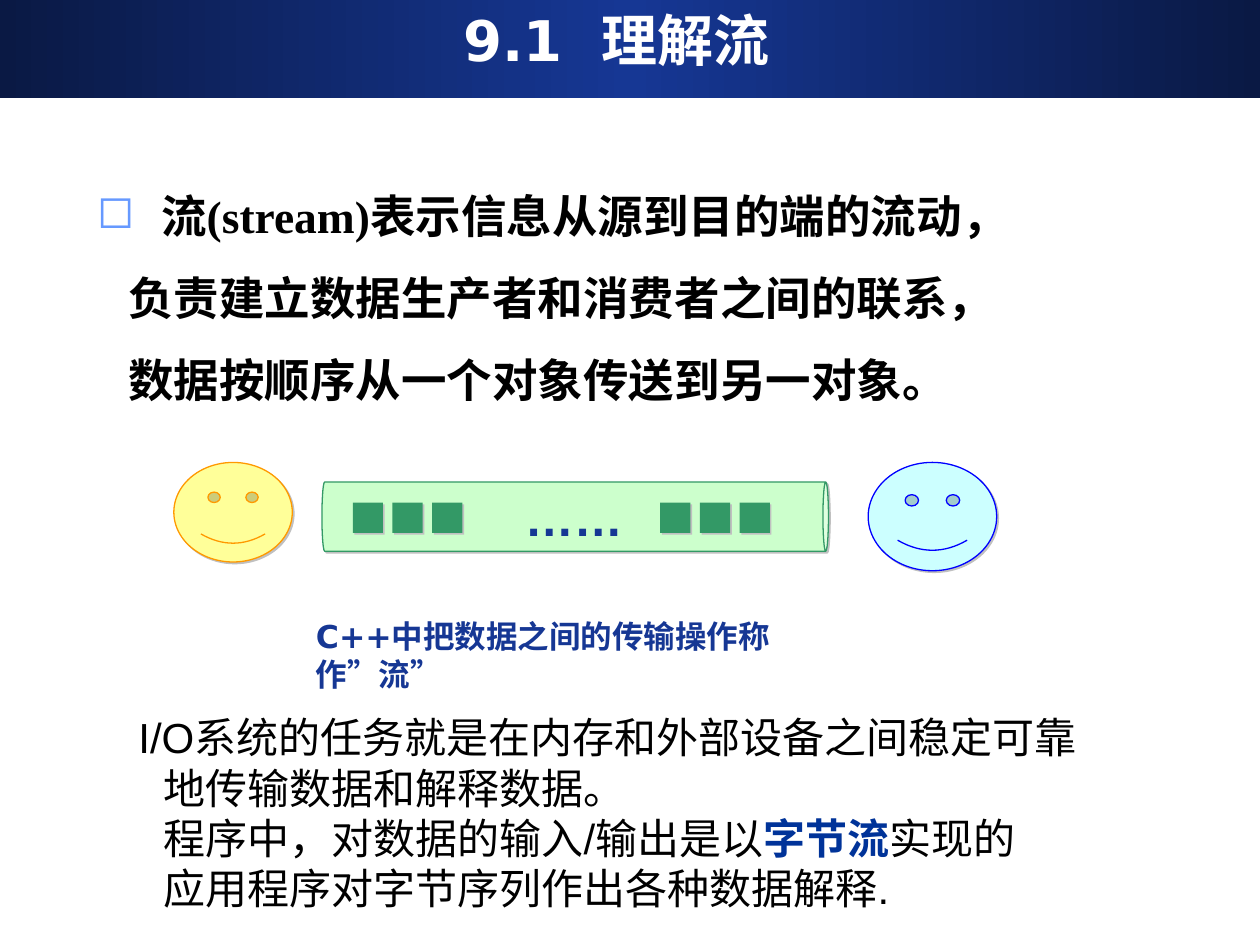
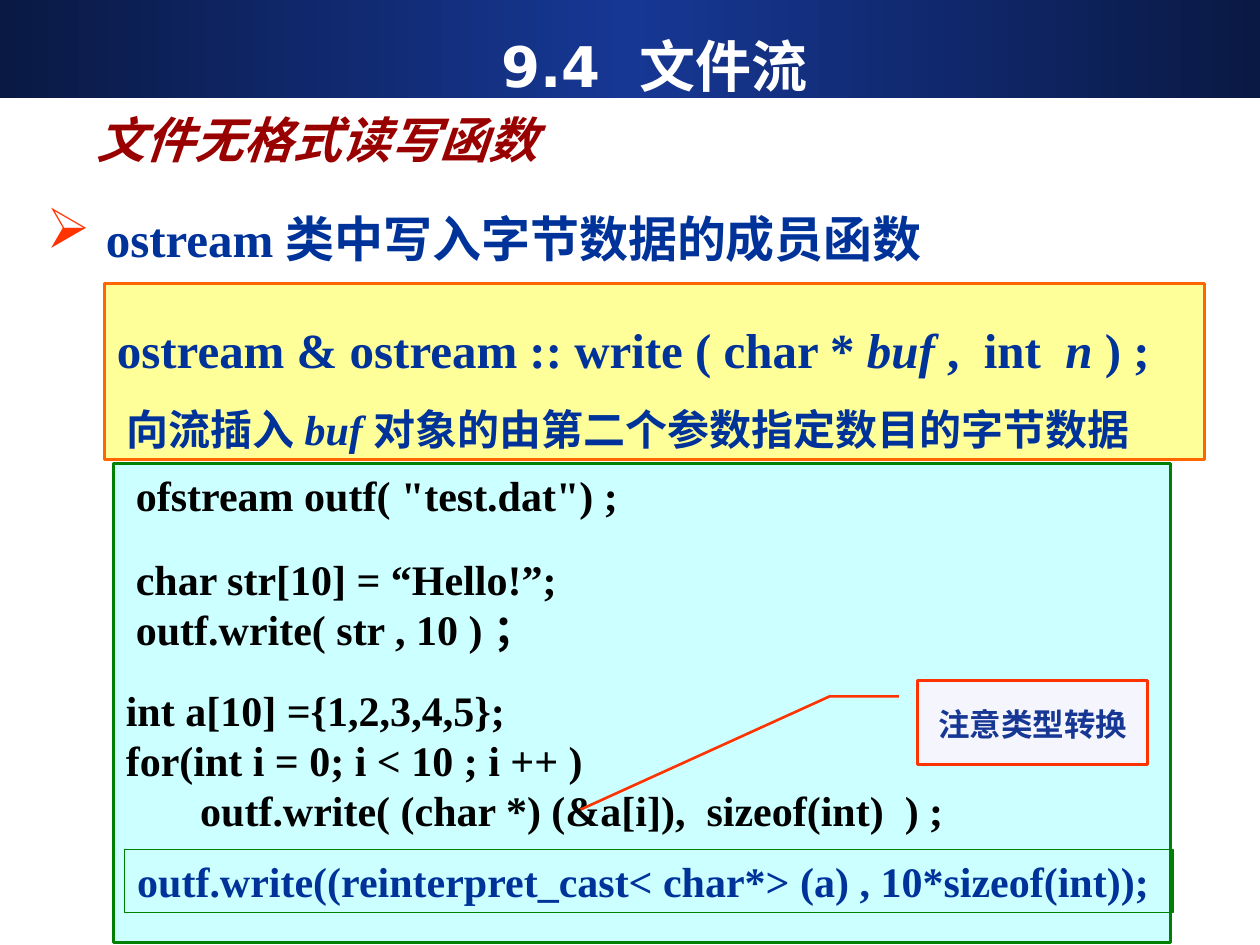
import copy
from dataclasses import dataclass

import lxml.etree
import pptx
import pptx.dml.color
import pptx.enum.shapes
import pptx.enum.text
import pptx.oxml.ns
import pptx.util

Inches, Pt = pptx.util.Inches, pptx.util.Pt
SHAPE = pptx.enum.shapes.MSO_SHAPE
ALIGN = pptx.enum.text.PP_ALIGN
ANCHOR = pptx.enum.text.MSO_ANCHOR
qn = pptx.oxml.ns.qn


@dataclass(frozen=True)
class Theme:
    """Colours, fonts and type sizes shared by the slides."""
    navy: str = "163794"
    midnight: str = "0A1944"
    blue: str = "003399"
    white: str = "FFFFFF"
    black: str = "000000"
    crimson: str = "990000"
    red: str = "FF3300"
    orange: str = "FF9900"
    deep_orange: str = "FF6600"
    yellow: str = "FFFF99"
    cyan: str = "CCFFFF"
    pure_blue: str = "0000FF"
    mint: str = "CCFFCC"
    sea: str = "339966"
    green: str = "008000"
    pale: str = "F5F6FD"
    sky: str = "6699FF"
    grey: str = "C0C0C0"
    sans: str = "Arial"
    display: str = "DejaVu Sans"
    serif: str = "Times New Roman"
    cjk: str = "Noto Sans CJK SC"
    title: int = 32
    heading: int = 28
    lead: int = 26
    body: int = 24
    note: int = 18
    thin: float = 0.74
    thick: float = 1.5


T = Theme()

# Content: a paragraph is (runs, options); a run is (text, options)
TITLES = [("9.1  理解流", (0.27, 0, 9.25, 0.62)),
          ("9.4  文件流", (0.57, 0.21, 9.25, 0.62))]

DEFINITION = [
    ([("流", {}), ("(stream)", {"font": T.serif}),
      ("表示信息从源到目的端的流动，", {})],
     {"left": 0.51, "first": -0.51, "bullet": ("◻", T.sky)}),
    ([("负责建立数据生产者和消费者之间的联系，", {})], {"left": 0.25}),
    ([("数据按顺序从一个对象传送到另一对象。", {})], {"left": 0.25}),
]
CAPTION = [([("C++中把数据之间的传输操作称作", {}), ("”", {"font": T.sans}),
             ("流", {}), ("”", {"font": T.sans})], {})]
TASK = [
    ([("I/O系统的任务就是在内存和外部设备之间稳定可靠", {})], {"left": 0.1}),
    ([("地传输数据和解释数据。", {})], {"left": 0.3}),
    ([("程序中，对数据的输入/输出是以", {}),
      ("字节流", {"color": T.blue, "bold": True}), ("实现的", {})], {"left": 0.3}),
    ([("应用程序对字节序列作出各种数据解释.", {})], {"left": 0.3}),
]
FACES = [((1.38, 3.67, 0.94, 0.79), T.yellow, T.orange),
         ((6.89, 3.67, 1.02, 0.86), T.cyan, T.pure_blue)]
PACKET_GROUPS = [2.8, 5.24]
PACKETS_PER_GROUP, PACKET_STEP, PACKET_SIZE, PACKET_TOP = 3, 0.315, 0.24, 3.99

SUBTITLE = [([("文件无格式读写函数", {})], {})]
MEMBER = [([(" ", {"size": T.title, "font": T.cjk}),
            ("ostream 类中写入字节数据的成员函数", {})],
           {"left": 0.37, "first": -0.37, "bullet": ("➢", T.red)})]
ITALIC, SMALL = {"italic": True}, {"size": T.body}
SIGNATURE = [
    ([("ostream & ostream :: write ( char * ", {}), ("buf ", ITALIC),
      (",  int  ", {}), ("n", ITALIC), (" ) ;", {})], {}),
    ([("向流插入 ", SMALL), ("buf ", {**SMALL, **ITALIC}),
      ("对象的由第二个参数指定数目的字节数据", SMALL)], {"left": 0.08}),
]
CODE = [
    ([('ofstream outf( "test.dat") ;', {})], {"left": 0.08}),
    ([("char str[10] = “Hello!”;", {})], {"left": 0.08, "before": 19}),
    ([("outf.write( str , 10 ) ；", {})], {"left": 0.08}),
    ([("int a[10] ={1,2,3,4,5};", {})], {"before": 17}),
    ([("for(int i = 0; i < 10 ; i ++ )", {})], {}),
    ([("outf.write( (char *) (&a[i]),  sizeof(int)  ) ;", {})], {"left": 0.59}),
]
CAST = [([("outf.write((reinterpret_cast< char*> (a) , 10*sizeof(int));", {})], {})]
WARNING = [([("注意类型转换", {})], {})]


def rgb(value):
    """Turn a hex string into a colour."""
    return pptx.dml.color.RGBColor.from_string(value)


def sub(parent, tag, **attrs):
    """Append a DrawingML child element."""
    el = lxml.etree.SubElement(parent, qn(tag))
    for key, value in attrs.items():
        el.set(key, str(value))
    return el


def add_shadow(props):
    """Give shape or run properties the small hard grey shadow."""
    for old in props.findall(qn("a:effectLst")):
        props.remove(old)
    shadow = sub(sub(props, "a:effectLst"), "a:outerShdw", blurRad=0,
                 dist=int(Pt(1.4)), dir=45 * 60000, algn="tl", rotWithShape=0)
    sub(shadow, "a:srgbClr", val=T.grey)


def add_bullet(p, char, color):
    """Put a coloured bullet on a paragraph."""
    pPr = p._p.get_or_add_pPr()
    sub(sub(pPr, "a:buClr"), "a:srgbClr", val=color)
    sub(pPr, "a:buChar", char=char)


def write(tf, paragraphs, size=T.body, font=T.sans, color=T.black, bold=False,
          italic=False, align=ALIGN.LEFT, anchor=ANCHOR.TOP, spacing=None,
          before=0, shadow=False, insets=(0.1, 0.05, 0.1, 0.05)):
    """Fill a text frame; run and paragraph options override the defaults."""
    tf.word_wrap = True
    tf.auto_size = pptx.enum.text.MSO_AUTO_SIZE.NONE
    tf.vertical_anchor = anchor
    (tf.margin_left, tf.margin_top,
     tf.margin_right, tf.margin_bottom) = map(Inches, insets)
    for i, (runs, opts) in enumerate(paragraphs):
        p = tf.add_paragraph() if i else tf.paragraphs[0]
        p.alignment = align
        p.space_before = Pt(opts.get("before", before))
        if spacing:
            p.line_spacing = spacing
        pPr = p._p.get_or_add_pPr()
        pPr.set("marL", str(int(Inches(opts.get("left", 0)))))
        pPr.set("indent", str(int(Inches(opts.get("first", 0)))))
        if "bullet" in opts:
            add_bullet(p, *opts["bullet"])
        for words, fmt in runs:
            r = p.add_run()
            r.text = words
            r.font.size = Pt(fmt.get("size", size))
            r.font.bold = fmt.get("bold", bold)
            r.font.italic = fmt.get("italic", italic)
            r.font.color.rgb = rgb(fmt.get("color", color))
            rPr = r._r.get_or_add_rPr()
            if shadow:
                add_shadow(rPr)
            r.font.name = fmt.get("font", font)
            sub(rPr, "a:ea", typeface=T.cjk)


def add_text(s, box, paragraphs, **fmt):
    """Add a text box."""
    sp = s.shapes.add_textbox(*map(Inches, box))
    write(sp.text_frame, paragraphs, **fmt)


def add_shape(s, kind, box, fill=None, line=None, width=T.thin, shadow=False,
              adjust=()):
    """Add a preset shape with plain fill and line."""
    sp = s.shapes.add_shape(kind, *map(Inches, box))
    sp.shadow.inherit = False
    if fill:
        sp.fill.solid()
        sp.fill.fore_color.rgb = rgb(fill)
    else:
        sp.fill.background()
    if line:
        sp.line.color.rgb = rgb(line)
        sp.line.width = Pt(width)
    else:
        sp.line.fill.background()
    if shadow:
        add_shadow(sp.element.spPr)
    for i, value in enumerate(adjust):
        sp.adjustments[i] = value
    return sp


def add_band(s, layout):
    """Build the gradient title band and place it on the shared layout."""
    band = add_shape(s, SHAPE.RECTANGLE, (0, 0, 10, 0.78))
    band.fill.gradient()
    band.fill.gradient_angle = 0
    stops = next(band.element.iter(qn("a:gsLst")))
    for old in list(stops):
        stops.remove(old)
    for percent, color in [(0, T.midnight), (50, T.navy), (100, T.midnight)]:
        sub(sub(stops, "a:gs", pos=percent * 1000), "a:srgbClr", val=color)
    layout.shapes.element.insert(2, copy.deepcopy(band.element))
    s.shapes.element.remove(band.element)


def add_slide(prs, layout, title, box):
    """Add a slide with its title over the band."""
    s = prs.slides.add_slide(layout)
    sp = s.shapes.title
    sp.left, sp.top, sp.width, sp.height = map(Inches, box)
    write(sp.text_frame, [([(title, {})], {})], size=T.title, font=T.display,
          color=T.white, bold=True, align=ALIGN.CENTER, anchor=ANCHOR.MIDDLE)
    return s


def draw_stream(s):
    """Draw producer, pipe with packets, and consumer."""
    for box, fill, line in FACES:
        add_shape(s, SHAPE.SMILEY_FACE, box, fill, line, shadow=True, adjust=[0.09])
    pipe = add_shape(s, SHAPE.CAN, (4.29, 2.09, 0.55, 4.02), T.mint, T.sea,
                     shadow=True, adjust=[0.08])
    pipe.rotation = 90
    write(pipe.text_frame, [([("……", {})], {})], size=T.heading, color=T.navy,
          bold=True, align=ALIGN.CENTER, anchor=ANCHOR.MIDDLE, insets=(0, 0, 0, 0))
    pipe.text_frame._txBody.bodyPr.set("vert", "vert270")
    for left in PACKET_GROUPS:
        for i in range(PACKETS_PER_GROUP):
            add_shape(s, SHAPE.RECTANGLE,
                      (left + i * PACKET_STEP, PACKET_TOP, PACKET_SIZE, PACKET_SIZE),
                      T.sea, shadow=True)


def build_stream_slide(s):
    """Explain what a stream is."""
    add_text(s, (0.67, 1.31, 8.98, 2.15), DEFINITION, size=T.lead, bold=True,
             spacing=1.3, before=6.5)
    draw_stream(s)
    add_text(s, (2.41, 4.85, 4.43, 0.7), CAPTION, size=T.note, font=T.display,
             color=T.navy, bold=True, shadow=True)
    add_text(s, (0.9, 5.6, 8.58, 1.7), TASK)


def build_file_slide(s):
    """Show unformatted writing to a file."""
    code = {"font": T.serif, "bold": True}
    add_text(s, (0.27, 1.39, 7.95, 0.8), MEMBER, size=T.heading, color=T.blue,
             spacing=1.3, **code)
    sp = add_shape(s, SHAPE.RECTANGLE, (0.83, 2.25, 8.73, 1.4), T.yellow,
                   T.deep_orange, T.thick)
    write(sp.text_frame, SIGNATURE, size=T.heading, color=T.blue, spacing=1.5, **code)
    sp = add_shape(s, SHAPE.RECTANGLE, (0.9, 3.68, 8.39, 3.8), T.cyan, T.green, T.thick)
    write(sp.text_frame, CODE, **code)
    sp = add_shape(s, SHAPE.RECTANGLE, (0.99, 6.74, 8.32, 0.5), line=T.green)
    write(sp.text_frame, CAST, color=T.blue, insets=(0.1, 0.05, 0, 0.05), **code)
    sp = add_shape(s, SHAPE.LINE_CALLOUT_2, (7.28, 5.4, 1.83, 0.67), T.pale, T.red,
                   T.thick, adjust=[0.19, -0.08, 0.19, -0.38, 1.53, -1.46])
    write(sp.text_frame, WARNING, size=T.note, color=T.navy, align=ALIGN.CENTER,
          spacing=1.5, before=11.2, **code)
    add_text(s, (0.67, 0.68, 4.1, 0.71), SUBTITLE, size=T.heading, font=T.cjk,
             color=T.crimson, bold=True, italic=True, spacing=1.3)


prs = pptx.Presentation()
prs.slide_width, prs.slide_height = Inches(10), Inches(7.5)
title_only = prs.slide_layouts[5]
slides = [add_slide(prs, title_only, *title) for title in TITLES]
add_band(slides[0], title_only)
build_stream_slide(slides[0])
build_file_slide(slides[1])
prs.save("out.pptx")
